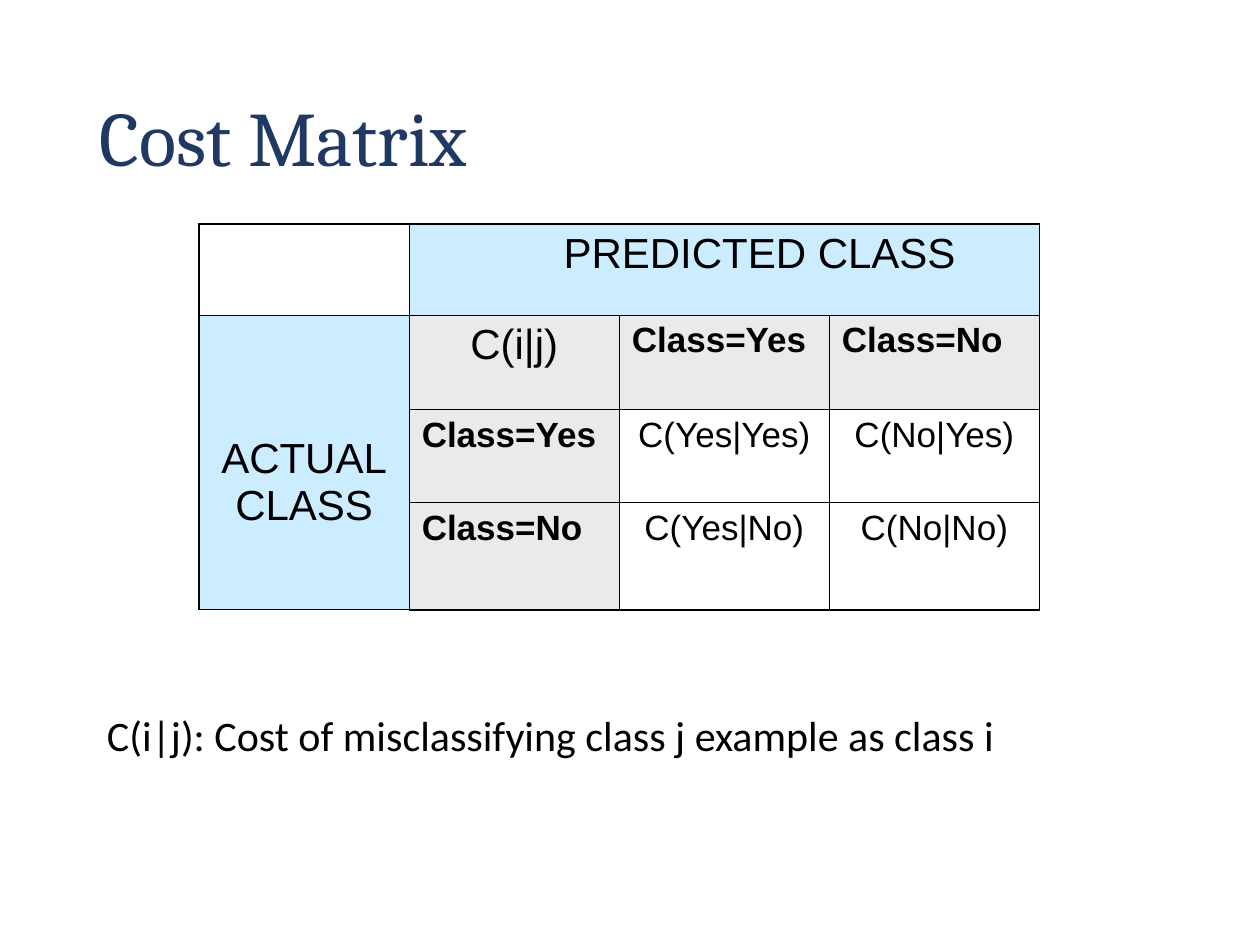
from dataclasses import dataclass

from lxml import etree
from pptx import Presentation
from pptx import util as u
from pptx.dml.color import RGBColor
from pptx.enum import text
from pptx.oxml.ns import qn


@dataclass(frozen=True)
class Theme:
    navy: str = "203864"
    black: str = "000000"
    sky: str = "CCECFF"
    grey: str = "EAEAEA"
    heading_font: str = "Cambria"
    body_font: str = "Calibri"
    table_font: str = "Arial"
    title_size: int = 44
    large_size: int = 24
    label_size: int = 20
    outer_line: float = 1.08
    inner_line: float = 0.45


THEME = Theme()
LEFT, CENTER = text.PP_ALIGN.LEFT, text.PP_ALIGN.CENTER
HEADER = {"size": THEME.large_size, "fill": THEME.sky}
CORNER = {"size": THEME.large_size, "fill": THEME.grey}
CLASS_LABEL = {"bold": True, "align": LEFT, "fill": THEME.grey}
COST = {}

ROW_HEIGHTS = (0.72, 0.75, 0.74, 0.85)
MATRIX = (
    (("", COST), ("PREDICTED CLASS", HEADER), None, None),
    (("ACTUAL\vCLASS", HEADER), ("C(i|j)", CORNER),
     ("Class=Yes", CLASS_LABEL), ("Class=No", CLASS_LABEL)),
    (None, ("Class=Yes", CLASS_LABEL), ("C(Yes|Yes)", COST), ("C(No|Yes)", COST)),
    (None, ("Class=No", CLASS_LABEL), ("C(Yes|No)", COST), ("C(No|No)", COST)),
)


def set_all(target, values):
    for name, value in values.items():
        setattr(target, name, value)


def write(frame, words, font, size, color, bold=False, align=LEFT, **spacing):
    paragraph = frame.paragraphs[0]
    paragraph.text = words
    set_all(paragraph, {"alignment": align, **spacing})
    for run in paragraph.runs:
        set_all(run.font, {"name": font, "size": u.Pt(size), "bold": bold})
        run.font.color.rgb = RGBColor.from_string(color)


def add_text(slide, box, words, anchor, **style):
    frame = slide.shapes.add_textbox(*map(u.Inches, box)).text_frame
    set_all(frame, {"word_wrap": True, "vertical_anchor": anchor})
    write(frame, words, **style)


def add_title(slide, box):
    add_text(slide, box, "Cost Matrix", text.MSO_ANCHOR.MIDDLE,
             font=THEME.heading_font, size=THEME.title_size,
             color=THEME.navy, line_spacing=0.9)


def add_caption(slide, box):
    add_text(slide, box, "C(i|j): Cost of misclassifying class j example as class i",
             text.MSO_ANCHOR.TOP, font=THEME.body_font,
             size=THEME.large_size, color=THEME.black)


def draw_borders(cell, outer_sides):
    properties = cell._tc.get_or_add_tcPr()
    for side in "LRTB":
        width = THEME.outer_line if side in outer_sides else THEME.inner_line
        line = etree.SubElement(properties, qn(f"a:ln{side}"), w=str(u.Pt(width)))
        fill = etree.SubElement(line, qn("a:solidFill"))
        etree.SubElement(fill, qn("a:srgbClr"), val=THEME.black)


def fill_cell(cell, words, size=THEME.label_size, bold=False, align=CENTER, fill=None):
    write(cell.text_frame, words, THEME.table_font, size, THEME.black, bold, align)
    if fill:
        cell.fill.solid()
        cell.fill.fore_color.rgb = RGBColor.from_string(fill)
    else:
        cell.fill.background()


def add_cost_matrix(slide, box):
    size = len(MATRIX)
    last = size - 1
    table = slide.shapes.add_table(size, size, *map(u.Inches, box)).table
    set_all(table, {"first_row": False, "horz_banding": False})
    for column in table.columns:
        column.width = u.Inches(box[2] / size)
    for row, height in zip(table.rows, ROW_HEIGHTS):
        row.height = u.Inches(height)
    for r, entries in enumerate(MATRIX):
        for c, entry in enumerate(entries):
            cell = table.cell(r, c)
            edges = {"L": c == 0, "R": c == last, "T": r == 0, "B": r == last}
            draw_borders(cell, [side for side, outer in edges.items() if outer])
            if entry:
                words, style = entry
                fill_cell(cell, words, **style)
    predicted, actual = table.cell(0, 1), table.cell(1, 0)
    predicted.merge(table.cell(0, last))
    actual.merge(table.cell(last, 0))
    predicted.margin_left = u.Inches(0.66)
    actual.margin_top = u.Inches(0.96)


def main():
    deck = Presentation()
    set_all(deck, {"slide_width": u.Inches(10), "slide_height": u.Inches(7.5)})
    slide = deck.slides.add_slide(deck.slide_layouts[6])
    add_title(slide, (0.69, 0.4, 8.63, 1.45))
    add_cost_matrix(slide, (1.58, 1.78, 6.67, sum(ROW_HEIGHTS)))
    add_caption(slide, (0.75, 5.58, 8.58, 1))
    deck.save("out.pptx")


if __name__ == "__main__":
    main()
